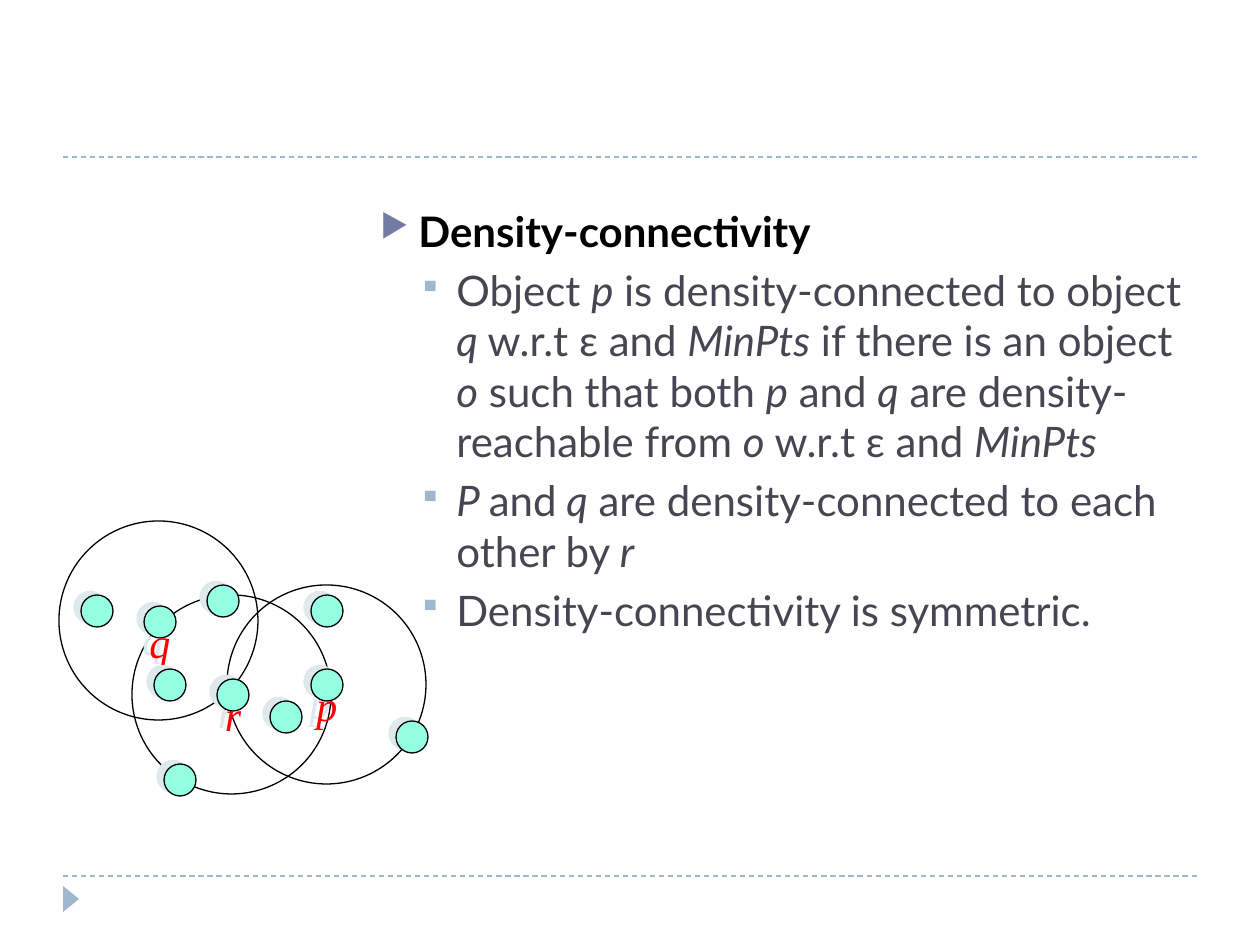
from pptx import Presentation
from pptx.dml.color import RGBColor
from pptx.enum.dml import MSO_LINE
from pptx.enum.shapes import MSO_CONNECTOR, MSO_SHAPE
from pptx.enum.text import MSO_ANCHOR, PP_ALIGN
from pptx.oxml.ns import qn
from pptx.util import Pt
from lxml.etree import SubElement

SCALE = 914400 / 126
HUES = {
    "rule": "9FB8CD",
    "arrow": "727CA3",
    "head": "000000",
    "body": "464653",
    "edge": "000000",
    "node": "95FFE3",
    "shade": "DDE9EC",
    "label": "FF0000",
}
RING, NODE = 199, 32
POINTS = [
    (["", "Object ", "p", " is density-connected to object ", "q ",
      "w.r.t ε and ", "MinPts", " if there is an object ", "o",
      " such that both ", "p", " and ", "q", " are density-reachable from ",
      "o ", "w.r.t ε and ", "MinPts"]),
    (["P ", "and", " q", " are density-connected to each other by ", "r"]),
    (["", "Density-connectivity is symmetric."]),
]
DISCS = [
    (73, 74, RING, ""), (168, 64, RING, ""),
    (252, 74, NODE, ""), (211, 180, NODE, ""), (337, 200, NODE, ""),
    (252, 148, NODE, "p"), (148, 64, NODE, ""),
    (0, 0, RING, ""),
    (105, 243, NODE, ""), (85, 85, NODE, "q"), (158, 158, NODE, "r"),
    (95, 148, NODE, ""), (22, 74, NODE, ""),
]


def px(*nums):
    return [round(num * SCALE) for num in nums]


def hue(name):
    return RGBColor.from_string(HUES[name])


def add_run(para, text, font, tone, bold=False, slant=False):
    run = para.add_run()
    run.text = text
    run.font.name = font
    run.font.size = Pt(24)
    run.font.bold = bold
    run.font.italic = slant
    run.font.color.rgb = hue(tone)


def set_mark(para, mark, tone, left, gap):
    para.space_before = Pt(gap)
    props = para._p.get_or_add_pPr()
    props.set("marL", str(px(left)[0]))
    props.set("indent", str(px(-38)[0]))
    paint = SubElement(props, qn("a:buClr"))
    SubElement(paint, qn("a:srgbClr"), val=HUES[tone])
    SubElement(props, qn("a:buSzPct"), val="76000")
    SubElement(props, qn("a:buChar"), char=mark)


def add_frame(slide, left, top, width, height):
    for y in (top + height, top):
        rule = slide.shapes.add_connector(
            MSO_CONNECTOR.STRAIGHT, *px(left, y, left + width, y))
        rule.line.color.rgb = hue("rule")
        rule.line.width = Pt(0.75)
        rule.line.dash_style = MSO_LINE.DASH
        SubElement(rule._element.spPr, qn("a:effectLst"))
    arrow = slide.shapes.add_shape(
        MSO_SHAPE.ISOSCELES_TRIANGLE, *px(left - 5, top + height + 15, 26, 16))
    arrow.rotation = 90
    arrow.shadow.inherit = False
    arrow.fill.solid()
    arrow.fill.fore_color.rgb = hue("rule")
    arrow.line.fill.background()


def add_text(slide, left, top, width, height):
    frame = slide.shapes.add_textbox(*px(left, top, width, height)).text_frame
    frame.word_wrap = True
    para = frame.paragraphs[0]
    set_mark(para, "▶", "arrow", 38, 6)
    add_run(para, "Density-connectivity", "Lato", "head", bold=True)
    for parts in POINTS:
        para = frame.add_paragraph()
        set_mark(para, "▪", "rule", 76, 5)
        for spot, part in enumerate(parts):
            if part:
                add_run(para, part, "Lato", "body", slant=spot % 2 == 0)


def add_shade(disc):
    effects = disc._element.spPr.find(qn("a:effectLst"))
    shade = SubElement(effects, qn("a:outerShdw"), blurRad="0",
                       dist=str(Pt(4.5)), dir=str(207 * 60000),
                       algn="ctr", rotWithShape="0")
    SubElement(shade, qn("a:srgbClr"), val=HUES["shade"])


def add_disc(slide, left, top, size, label):
    disc = slide.shapes.add_shape(MSO_SHAPE.OVAL, *px(left, top, size, size))
    disc.shadow.inherit = False
    disc.line.color.rgb = hue("edge")
    disc.line.width = Pt(0.75)
    if size == RING:
        disc.fill.background()
        return
    disc.fill.solid()
    disc.fill.fore_color.rgb = hue("node")
    add_shade(disc)
    if label:
        frame = disc.text_frame
        frame.word_wrap = False
        frame.vertical_anchor = MSO_ANCHOR.TOP
        para = frame.paragraphs[0]
        para.alignment = PP_ALIGN.CENTER
        add_run(para, label, "Times New Roman", "label", slant=True)


def add_graph(slide, left, top):
    for x, y, size, label in DISCS:
        add_disc(slide, left + x, top + y, size, label)


def main():
    deck = Presentation()
    deck.slide_width, deck.slide_height = px(1260, 945)
    slide = deck.slides.add_slide(deck.slide_layouts[6])
    add_frame(slide, 63, 157, 1134, 719)
    add_text(slide, 368, 199, 840, 567)
    add_graph(slide, 59, 521)
    deck.save("out.pptx")


if __name__ == "__main__":
    main()
